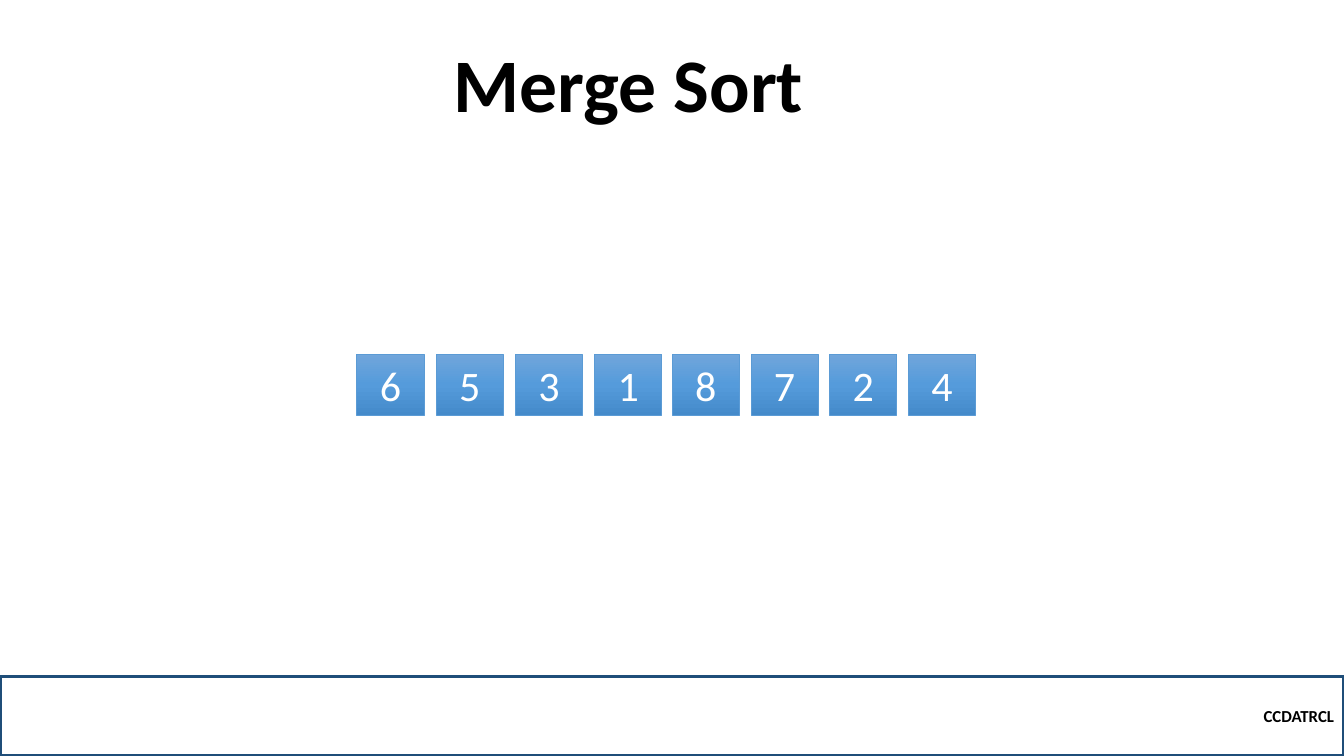
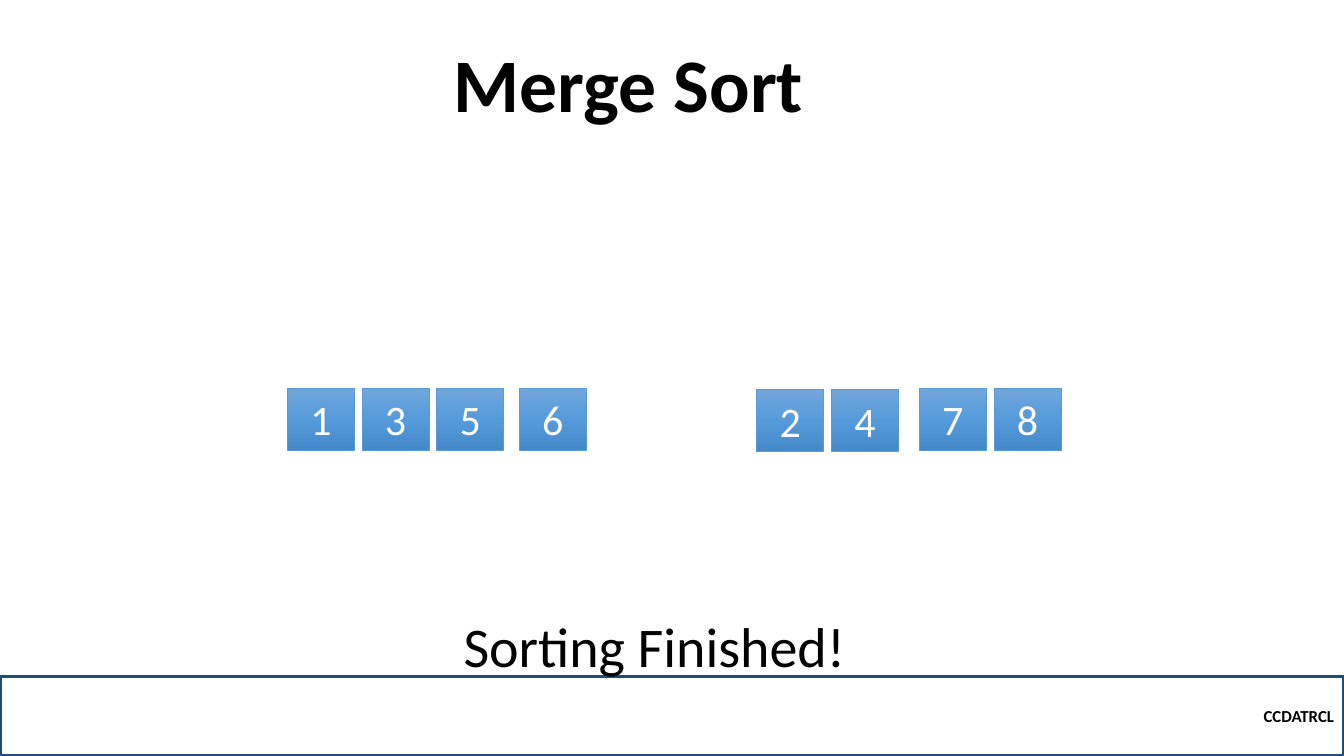
"""Build two merge sort slides: the unsorted array and the sorted halves."""
from copy import deepcopy
from pptx import Presentation
from pptx.dml.color import RGBColor
from pptx.enum.shapes import MSO_SHAPE as SHAPE
from pptx.enum.text import MSO_ANCHOR as ANCHOR, PP_ALIGN as ALIGN
from pptx.oxml.ns import qn
from pptx.util import Pt

COLORS = {"text": "000000", "footer_line": "1F4E79", "tile_line": "5B9BD5",
          "tile_top": "71A6DB", "tile_mid": "559BDB", "tile_low": "448ACA",
          "tile_text": "FFFFFF"}
FONT = "Calibri"
WIDTH, HEIGHT = 960, 540
TILE_W, TILE_H = 48, 44
FOOTER_H = 57
STOPS = [(0, "tile_top"), (0.5, "tile_mid"), (1, "tile_low")]


def write(shape, text, size, color, align, anchor, bold=False):
    tf = shape.text_frame
    tf.word_wrap = True
    tf.vertical_anchor = anchor
    p = tf.paragraphs[0]
    p.alignment = align
    r = p.add_run()
    r.text = text
    r.font.name = FONT
    r.font.size = Pt(size)
    r.font.bold = bold
    r.font.color.rgb = RGBColor.from_string(COLORS[color])
    return p


def add_box(s, x, y, w, h, line, weight):
    sp = s.shapes.add_shape(SHAPE.RECTANGLE, Pt(x), Pt(y), Pt(w), Pt(h))
    sp.shadow.inherit = False
    sp.fill.background()
    sp.line.color.rgb = RGBColor.from_string(COLORS[line])
    sp.line.width = Pt(weight)
    return sp


prs = Presentation()
prs.slide_width, prs.slide_height = Pt(WIDTH), Pt(HEIGHT)

# Each run of tiles: values, left, top, pitch
slides = [
    ([("6531", 254.9, 252.8, 56.6), ("8724", 480.2, 252.8, 56.2)], None),
    ([("135", 205.2, 277.4, 53.3), ("6", 370.8, 277.4, 53.3),
      ("24", 540.5, 278.4, 53.3), ("78", 656.6, 277.4, 53.3)],
     "Sorting Finished!"),
]

for tile_runs, message in slides:
    s = prs.slides.add_slide(prs.slide_layouts.get_by_name("Title Only"))
    title = s.shapes.title
    title.left, title.top, title.width, title.height = Pt(57.6), Pt(38.9), Pt(782.6), Pt(56.9)
    p = write(title, "Merge Sort", 54, "text", ALIGN.CENTER, ANCHOR.BOTTOM, True)
    p.line_spacing = 0.9

    footer = add_box(s, 0, HEIGHT - FOOTER_H, WIDTH, FOOTER_H, "footer_line", 2.25)
    write(footer, "CCDATRCL", 12, "text", ALIGN.RIGHT, ANCHOR.MIDDLE, True)

    for values, left, top, pitch in tile_runs:
        for i, value in enumerate(values):
            tile = add_box(s, left + i * pitch, top, TILE_W, TILE_H, "tile_line", 0.5)
            tile.fill.gradient()
            tile.fill.gradient_angle = 270
            stop_list = next(tile.element.iter(qn("a:gsLst")))
            stop_list.append(deepcopy(stop_list[-1]))
            for stop, (position, color) in zip(tile.fill.gradient_stops, STOPS):
                stop.position = position
                stop.color.rgb = RGBColor.from_string(COLORS[color])
            write(tile, value, 30, "tile_text", ALIGN.CENTER, ANCHOR.MIDDLE)

    if message:
        tb = s.shapes.add_textbox(Pt(324), Pt(433.4), Pt(289.4), Pt(55.4))
        write(tb, message, 40, "text", ALIGN.LEFT, ANCHOR.TOP)

prs.save("out.pptx")
